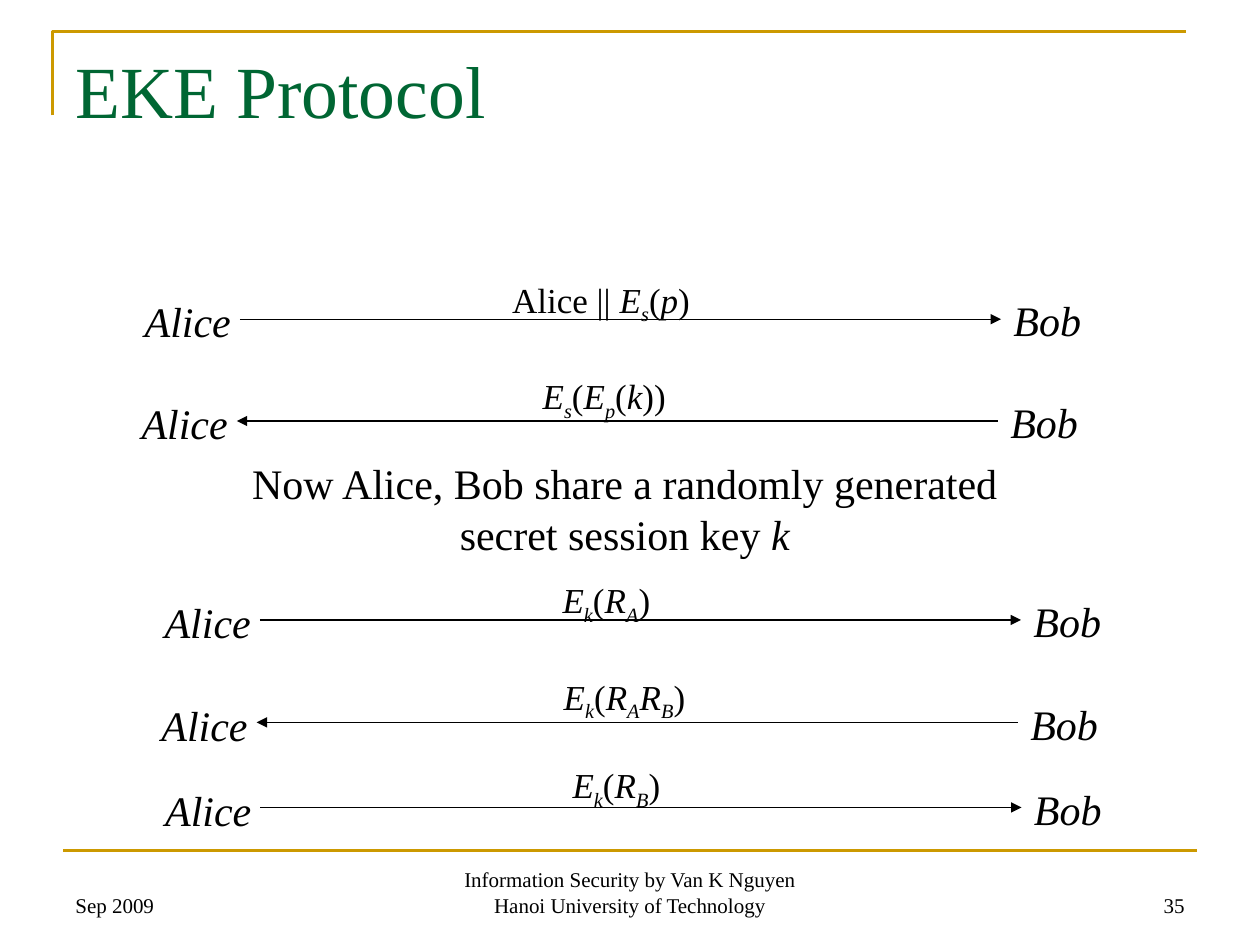
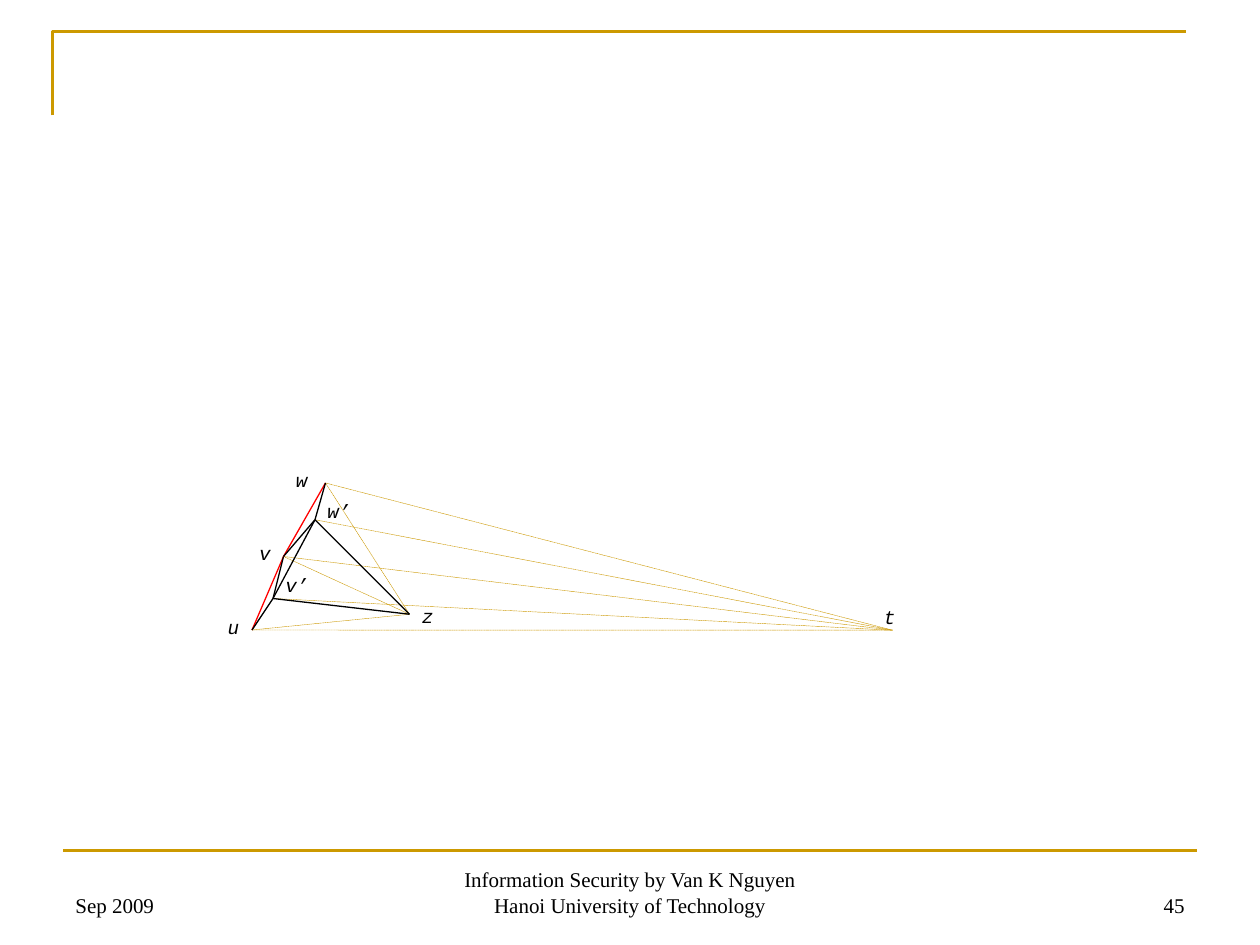
from collections import namedtuple
from lxml.etree import SubElement as Sub
from pptx import Presentation
from pptx.dml.color import RGBColor as RGB
from pptx.enum.dml import MSO_LINE as Dash
from pptx.enum.shapes import MSO_CONNECTOR as Link
from pptx.enum.text import MSO_ANCHOR as Anchor, MSO_AUTO_SIZE as Auto, PP_ALIGN as Align
from pptx.oxml.ns import qn
from pptx.util import Inches, Pt

WIDE, HIGH = Inches(10), Inches(7.5)
CELL = WIDE // 120
INK = {"band": "CC9900", "title": "006633", "text": "000000", "hot": "FF0000", "far": "CC9800"}
SERIF, MONO = "Times New Roman", "Courier New"
Box = namedtuple("Box", "x y w h")
PAGE = Box(0, 0, 120, 90)


def cells(*nums):
    """Turn grid counts into slide lengths."""
    return [round(n * CELL) for n in nums]


def write(slide, box, text, size, ink="text", font=SERIF, italic=False,
          align=Align.LEFT, anchor=Anchor.TOP, wrap=False):
    """Add text; parts split by ';' start with '*' for italic or '_' for subscript."""
    frame = slide.shapes.add_textbox(*cells(*box)).text_frame
    frame.word_wrap = wrap
    frame.auto_size = Auto.NONE if wrap else Auto.SHAPE_TO_FIT_TEXT
    frame.vertical_anchor = anchor
    for i, line in enumerate(text.split("\n")):
        para = frame.add_paragraph() if i else frame.paragraphs[0]
        para.alignment = align
        para.font.size, para.font.name = Pt(size), font
        para.font.italic = italic
        para.font.color.rgb = RGB.from_string(INK[ink])
        for part in line.split(";"):
            run = para.add_run()
            run.text = part.lstrip("*_")
            if part[0] in "*_":
                run.font.italic = True
            if part[0] == "_":
                run._r.get_or_add_rPr().set("baseline", "-25000")


def draw(slide, start, end, ink="text", width=0.75, dash=None, tip=None):
    """Add a straight line, with an arrowhead at its end if tip is given."""
    line = slide.shapes.add_connector(Link.STRAIGHT, *cells(*start, *end))
    line.line.color.rgb = RGB.from_string(INK[ink])
    line.line.width = Pt(width)
    if dash:
        line.line.dash_style = dash
    props = line._element.spPr
    if tip:
        Sub(props.find(qn("a:ln")), qn("a:tailEnd"), type=tip)
    Sub(props, qn("a:effectLst"))


def frame(slide, box, number):
    """Add the corner band, bottom rule and footers."""
    x, y = box.x + 5, box.y + 3
    path = slide.shapes.build_freeform(*cells(x, y + 8))
    path.add_line_segments([cells(x, y), cells(x + 108, y)], close=False)
    band = path.convert_to_shape()
    band.shadow.inherit = False
    band.fill.background()
    band.line.color.rgb = RGB.from_string(INK["band"])
    band.line.width = Pt(1.5)
    base = box.y + box.h - 9
    draw(slide, (box.x + 6, base), (box.x + 114, base), "band", 1.5)
    feet = [(6, 28, "Sep 2009", Align.LEFT),
            (41, 38, "Information Security by Van K Nguyen Hanoi University of Technology",
             Align.CENTER),
            (86, 28, number, Align.RIGHT)]
    for left, width, text, align in feet:
        write(slide, Box(box.x + left, base + 0.95, width, 6), text, 12,
              align=align, anchor=Anchor.BOTTOM, wrap=True)


def lane(slide, box, text, label, back):
    """Add one message between Alice and Bob; label is its left, top and width."""
    right = box.x + box.w - 9
    write(slide, Box(box.x, box.y, 10.8, box.h), "Alice", 24, italic=True)
    write(slide, Box(right, box.y - 0.1, 9, box.h), "Bob", 24, italic=True)
    y = box.y + 2.8
    ends = [(box.x + 10.25, y), (right, y)]
    draw(slide, *(ends[::-1] if back else ends), tip="triangle")
    left, top, width = label
    write(slide, Box(box.x + left, box.y + top, width, 5.76), text, 20)


def proto(slide, box):
    """Add the title, the five messages and the note between them."""
    write(slide, Box(box.x + 6, box.y + 3.65, 108, 15), "EKE Protocol", 42, "title", wrap=True)
    lanes = [(12.6, 27.6, "Alice || ;*E;_s;(;*p;)", (35, -1.7, 19.5)),
             (12.3, 37.3, "*E;_s;(;*E;_p;(;*k;))", (38.2, -2.2, 14.4)),
             (14.5, 56.25, "*E;_k;(;*R;_A;)", (37.9, -1.7, 11)),
             (14.2, 66, "*E;_k;(;*R;_A;*R;_B;)", (38.3, -2.3, 14.3)),
             (14.55, 74.1, "*E;_k;(;*R;_B;)", (38.8, -1.95, 11))]
    for i, (x, y, text, label) in enumerate(lanes):
        lane(slide, Box(box.x + x, box.y + y, 91.74, 6), text, label, i in (1, 3))
    write(slide, Box(box.x + 22.7, box.y + 43, 73.6, 10.8),
          "Now Alice, Bob share a randomly generated\nsecret session key ;*k", 24,
          align=Align.CENTER)


def graph(slide, box):
    """Add the lines between the named points, then the point names."""
    spots = {"u": (0, 14, -3.5, -2), "v": (3, 7, -3.5, -2), "w": (7, 0, -4, -2),
             "v’": (2, 11, 0, -3), "w’": (6, 3.5, 0, -2.5),
             "z": (15, 12.5, 0, -1.5), "t": (61, 14.02, -2, -3)}
    spots = {name: (box.x + x, box.y + y, dx, dy) for name, (x, y, dx, dy) in spots.items()}
    kinds = [("far", 0.25, Dash.SQUARE_DOT, "u-t v-t w-t w’-t v’-t w-z u-z v-z"),
             ("hot", 0.75, None, "u-v v-w"),
             ("text", 0.75, None, "v’-u w’-v v’-w’ w’-z z-v’ w-w’ v-v’")]
    for ink, width, dash, pairs in kinds:
        for pair in pairs.split():
            a, b = pair.split("-")
            draw(slide, spots[a][:2], spots[b][:2], ink, width, dash)
    for name, (x, y, dx, dy) in spots.items():
        write(slide, Box(x + dx, y + dy, 2.4 + 1.1 * len(name), 3.5), name, 11,
              font=MONO, italic=True)


def main():
    """Build and save both slides."""
    deck = Presentation()
    deck.slide_width, deck.slide_height = WIDE, HIGH
    for number, fill, box in [("35", proto, PAGE), ("45", graph, Box(24, 46, 61, 14))]:
        slide = deck.slides.add_slide(deck.slide_layouts[6])
        frame(slide, PAGE, number)
        fill(slide, box)
    deck.save("out.pptx")


if __name__ == "__main__":
    main()
